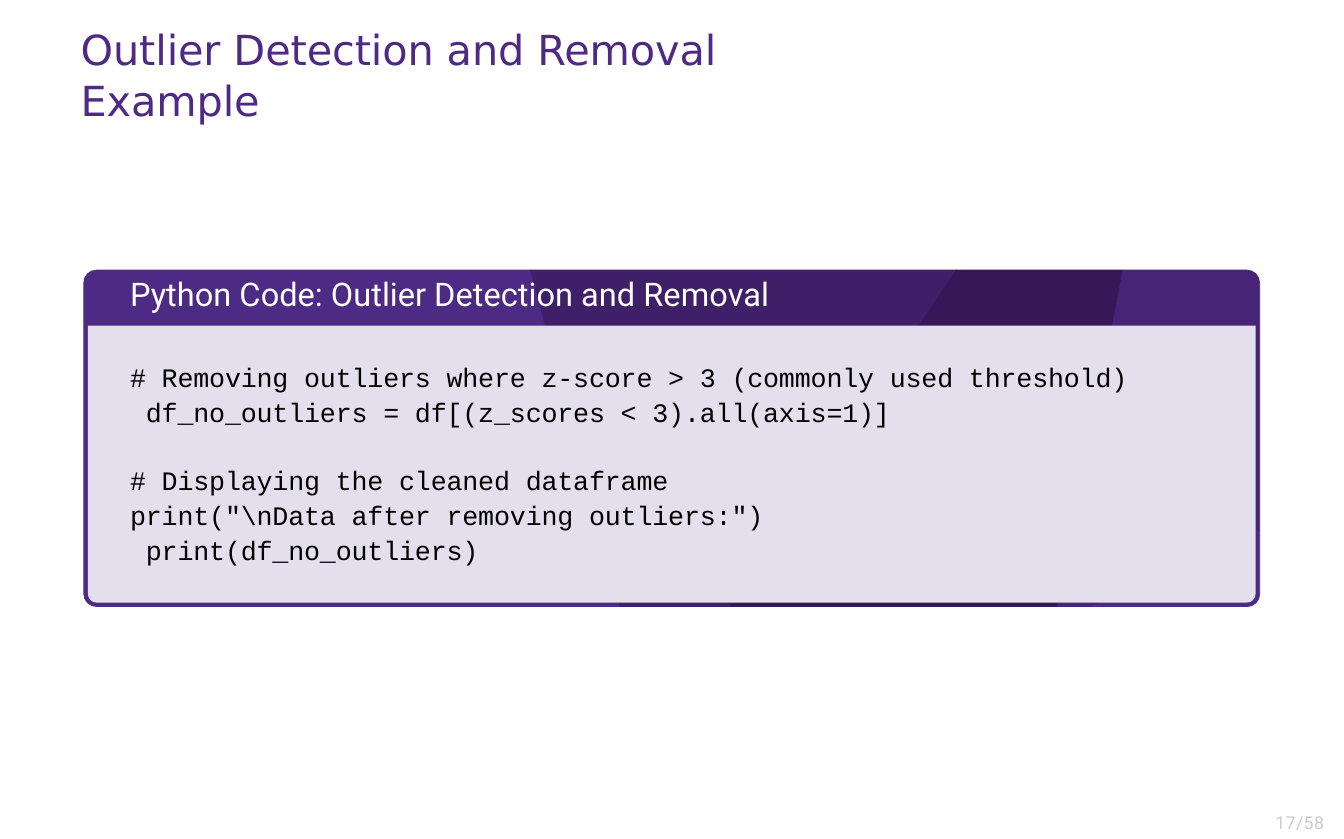
import math

import pptx
import pptx.dml.color
import pptx.util

RGB = pptx.dml.color.RGBColor
WHITE = RGB(0xFF, 0xFF, 0xFF)
BLACK = RGB(0x00, 0x00, 0x00)
GREY = RGB(0xCC, 0xCC, 0xCC)
PURPLE = RGB(0x4D, 0x2A, 0x84)
TITLE_PURPLE = RGB(0x4E, 0x2A, 0x84)
DARK_PURPLE = RGB(0x3F, 0x1F, 0x67)
DEEP_PURPLE = RGB(0x38, 0x17, 0x59)
MID_PURPLE = RGB(0x47, 0x24, 0x76)
LILAC = RGB(0xE3, 0xDF, 0xED)

PAGE = (0, 0, 6.31, 3.94)  # left, top, width, height in inches

CODE = [
    "# Removing outliers where z-score > 3 (commonly used threshold)\v"
    " df_no_outliers = df[(z_scores < 3).all(axis=1)]",
    "# Displaying the cleaned dataframe\v"
    'print("\\nData after removing outliers:")\v'
    " print(df_no_outliers)",
]


def part(box, left, top, width, height):
    """Return the part of a box given in percent of its size."""
    x, y, w, h = box
    return (x + w * left / 100, y + h * top / 100, w * width / 100, h * height / 100)


def add_text(page, box, paragraphs, font, size, color, line=1.0, gap=0, spacing=0):
    shape = page.shapes.add_textbox(*(pptx.util.Inches(v) for v in box))
    frame = shape.text_frame
    frame.word_wrap = True
    frame.margin_left = frame.margin_right = frame.margin_bottom = 0
    frame.margin_top = pptx.util.Inches(0.02)
    for index, text in enumerate(paragraphs):
        para = frame.add_paragraph() if index else frame.paragraphs[0]
        para.text = text
        para.line_spacing = line
        if index:
            para.space_before = pptx.util.Pt(gap)
        for span in para.runs:
            span.font.name = font
            span.font.size = pptx.util.Pt(size)
            span.font.color.rgb = color
            if spacing:
                span.font._element.set("spc", str(spacing))


def add_outline(page, box, points, color, line_width=0):
    """Draw a closed polygon whose points are inches from the box corner."""
    left, top = box[:2]
    spots = [(pptx.util.Inches(left + x), pptx.util.Inches(top + y)) for x, y in points]
    builder = page.shapes.build_freeform(*spots[0])
    builder.add_line_segments(spots[1:], close=True)
    shape = builder.convert_to_shape()
    shape.shadow.inherit = False
    shape.fill.solid()
    shape.fill.fore_color.rgb = color
    if line_width:
        shape.line.color.rgb = color
        shape.line.width = pptx.util.Pt(line_width)
    else:
        shape.line.fill.background()


def corner(box, right, bottom, radius):
    """Return the points of one rounded corner, going clockwise."""
    width, height = box[2:]
    x = width - radius if right else radius
    y = height - radius if bottom else radius
    start = {(0, 0): 180, (1, 0): 270, (1, 1): 0, (0, 1): 90}[right, bottom]
    angles = [math.radians(start + 22.5 * step) for step in range(5)]
    return [(x + radius * math.cos(a), y + radius * math.sin(a)) for a in angles]


def draw_title(page, box):
    add_text(page, box, ["Outlier Detection and Removal Example"],
             "DejaVu Sans", 14, TITLE_PURPLE, line=1.03, spacing=-5)


def draw_code_card(page, box):
    width, height = box[2:]

    def spot(across, down):
        return (width * across / 100, height * down / 100)

    # Facets of the frame, from left to right
    radius = 0.06
    top_first, top_second, top_third = spot(38, 0), spot(74.2, 0), spot(88.4, 0)
    low_first, low_second, low_third = spot(45.6, 100), spot(55, 100), spot(82.8, 100)
    low_last, side = spot(85.7, 100), spot(100, 77.3)
    facets = [
        (PURPLE, corner(box, 0, 1, radius) + corner(box, 0, 0, radius)
         + [top_first, low_first]),
        (DARK_PURPLE, [top_first, top_second, low_second, low_first]),
        (DEEP_PURPLE, [top_second, top_third, low_third, low_second]),
        (MID_PURPLE, [top_third] + corner(box, 1, 0, radius)
         + [side, low_last, low_third]),
        (PURPLE, [side] + corner(box, 1, 1, radius) + [low_last]),
    ]
    for color, points in facets:
        add_outline(page, box, points, color, 0.25)

    # Pale panel with rounded lower corners
    panel = part(box, 0.36, 16.5, 99.28, 82.3)
    lower = corner(panel, 1, 1, 0.04) + corner(panel, 0, 1, 0.04)
    add_outline(page, panel, [(0, 0), (panel[2], 0)] + lower, LILAC)

    # Heading and code
    add_text(page, part(box, 3.95, 0, 60, 14),
             ["Python Code: Outlier Detection and Removal"], "Roboto", 11, WHITE)
    add_text(page, part(box, 3.95, 25, 90, 60), CODE,
             "Courier New", 9, BLACK, line=1.09, gap=11.1, spacing=-5)


def draw_page_number(page, box):
    add_text(page, box, ["17/58"], "Roboto", 6, GREY, spacing=10)


def main():
    deck = pptx.Presentation()
    deck.slide_width = pptx.util.Inches(PAGE[2])
    deck.slide_height = pptx.util.Inches(PAGE[3])
    page = deck.slides.add_slide(deck.slide_layouts[6])
    draw_title(page, part(PAGE, 6, 2.2, 58, 12.5))
    draw_code_card(page, part(PAGE, 6.23, 32.2, 87.5, 40.1))
    draw_page_number(page, part(PAGE, 94.9, 96.2, 5, 3.3))
    deck.save("out.pptx")


if __name__ == "__main__":
    main()
